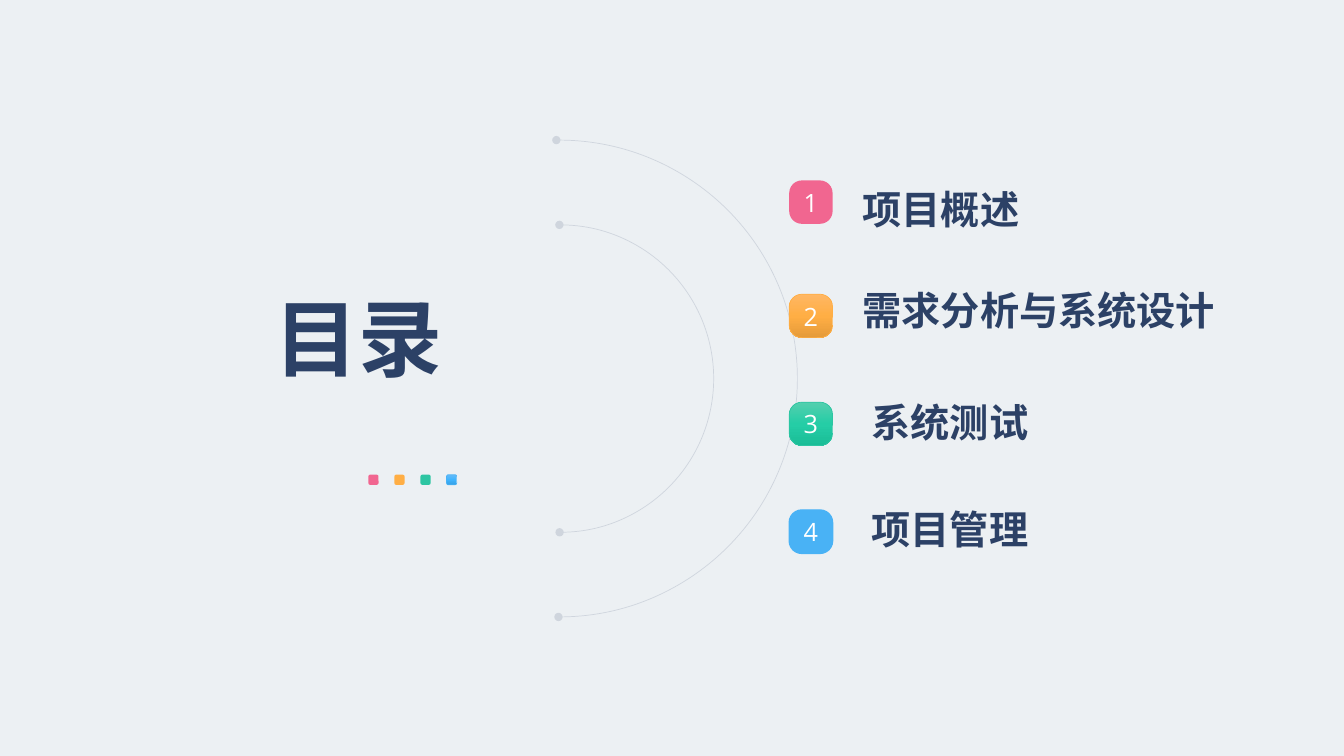
from copy import deepcopy

from lxml import etree
from pptx import Presentation
from pptx.dml.color import RGBColor
from pptx.enum import shapes, text
from pptx.oxml.ns import qn
from pptx.util import Pt

PAPER = RGBColor(0xEC, 0xF0, 0xF3)
NAVY = RGBColor(0x2C, 0x41, 0x66)
WHITE = RGBColor(0xFF, 0xFF, 0xFF)
PINK = RGBColor(0xF1, 0x66, 0x90)
AMBER = RGBColor(0xFF, 0xAE, 0x44)
GREEN = RGBColor(0x2D, 0xC5, 0xA2)
BLUE = RGBColor(0x49, 0xB2, 0xF5)
AMBERS = [RGBColor(0xFF, 0xB7, 0x64), AMBER, RGBColor(0xE5, 0x9B, 0x3A)]
GREENS = [RGBColor(0x53, 0xCF, 0xAE), RGBColor(0x25, 0xCD, 0xA6), RGBColor(0x1A, 0xBD, 0x97)]
BLUES = [RGBColor(0x65, 0xBB, 0xF8), RGBColor(0x40, 0xB4, 0xFE), RGBColor(0x36, 0xA1, 0xE5)]


class Deck:
    head = "Roboto"
    body = "Open Sans"

    def __init__(self, slide):
        self.slide = slide
        fill = slide.background.fill
        fill.solid()
        fill.fore_color.rgb = PAPER

    def letter(self, frame, words, size, name, color, bold, align):
        frame.text = words
        para = frame.paragraphs[0]
        para.alignment = align
        font = para.runs[0].font
        font.size, font.name, font.bold = Pt(size), name, bold
        font.color.rgb = color

    def label(self, box, words, size, align):
        frame = box.text_frame
        frame.word_wrap = True
        frame.auto_size = text.MSO_AUTO_SIZE.SHAPE_TO_FIT_TEXT
        frame.vertical_anchor = text.MSO_ANCHOR.TOP
        self.letter(frame, words, size, self.head, NAVY, True, align)

    def title(self, words, left, top, width, height):
        box = self.slide.shapes.title
        box.left, box.top, box.width, box.height = map(Pt, (left, top, width, height))
        self.label(box, words, 60, text.PP_ALIGN.RIGHT)

    def item(self, words, left, top, width):
        box = self.slide.shapes.add_textbox(Pt(left), Pt(top), Pt(width), Pt(41))
        self.label(box, words, 28, text.PP_ALIGN.LEFT)

    def shape(self, kind, left, top, size):
        form = self.slide.shapes.add_shape(kind, Pt(left), Pt(top), Pt(size), Pt(size))
        form.shadow.inherit = False
        return form

    def paint(self, form, tones):
        fill = form.fill
        if len(tones) == 1:
            fill.solid()
            fill.fore_color.rgb = tones[0]
            return
        fill.gradient()
        fill.gradient_angle = 270
        stops = form.element.spPr.find(".//" + qn("a:gsLst"))
        stops.insert(1, deepcopy(stops[0]))
        for i, (stop, tone) in enumerate(zip(fill.gradient_stops, tones)):
            stop.position = i / 2
            stop.color.rgb = tone

    def tile(self, left, top, size, tones, edge=None, weight=0.5):
        form = self.shape(shapes.MSO_SHAPE.ROUNDED_RECTANGLE, left, top, size)
        self.paint(form, tones)
        if edge is None:
            form.line.fill.background()
        else:
            form.line.color.rgb = edge
            form.line.width = Pt(weight)
        return form

    def badge(self, words, top, tones, edge, weight):
        form = self.tile(563.76, top, 31, tones, edge, weight)
        form.adjustments[0] = 0.29
        frame = form.text_frame
        frame.vertical_anchor = text.MSO_ANCHOR.MIDDLE
        self.letter(frame, words, 18, self.body, WHITE, False, text.PP_ALIGN.CENTER)

    def arc(self, left, top, size, start, end):
        form = self.shape(shapes.MSO_SHAPE.ARC, left, top, size)
        form.adjustments[0] = start * 0.6
        form.adjustments[1] = end * 0.6
        form.fill.background()
        form.line.color.rgb = NAVY
        form.line.width = Pt(0.5)
        line = form.element.spPr.find(qn("a:ln"))
        tint = line.find(".//" + qn("a:srgbClr"))
        etree.SubElement(tint, qn("a:alpha")).set("val", "15000")
        for tip in ("a:headEnd", "a:tailEnd"):
            etree.SubElement(line, qn(tip)).set("type", "oval")


def main():
    show = Presentation()
    show.slide_width, show.slide_height = Pt(960), Pt(540)
    deck = Deck(show.slides.add_slide(show.slide_layouts[5]))

    deck.title("目录", 119.5, 200.9, 203.8, 79.9)
    dots = [([PINK], None), ([AMBER], None), ([GREEN], None), (BLUES, BLUE)]
    for i, (tones, edge) in enumerate(dots):
        deck.tile(263.2 + 18.6 * i, 339.1, 7.2, tones, edge)

    deck.arc(290.2, 160.6, 219.6, 269.78, 90.15)
    deck.arc(229, 100.1, 340.6, 269.37, 90.12)

    topics = [
        ("项目概述", 128.9, [PINK], None, 0, 609.1, 128.9, 172.8),
        ("需求分析与系统设计", 210.2, AMBERS, AMBER, 0.5, 609.1, 200.9, 343.4),
        ("系统测试", 287.3, GREENS, GREEN, 0.5, 615.6, 280.8, 172.8),
        ("项目管理", 364.3, [BLUE], BLUE, 1, 615.6, 357.1, 172.8),
    ]
    for i, (words, row, tones, edge, weight, left, top, width) in enumerate(topics, 1):
        deck.badge(str(i), row, tones, edge, weight)
        deck.item(words, left, top, width)

    show.save("out.pptx")


if __name__ == "__main__":
    main()
